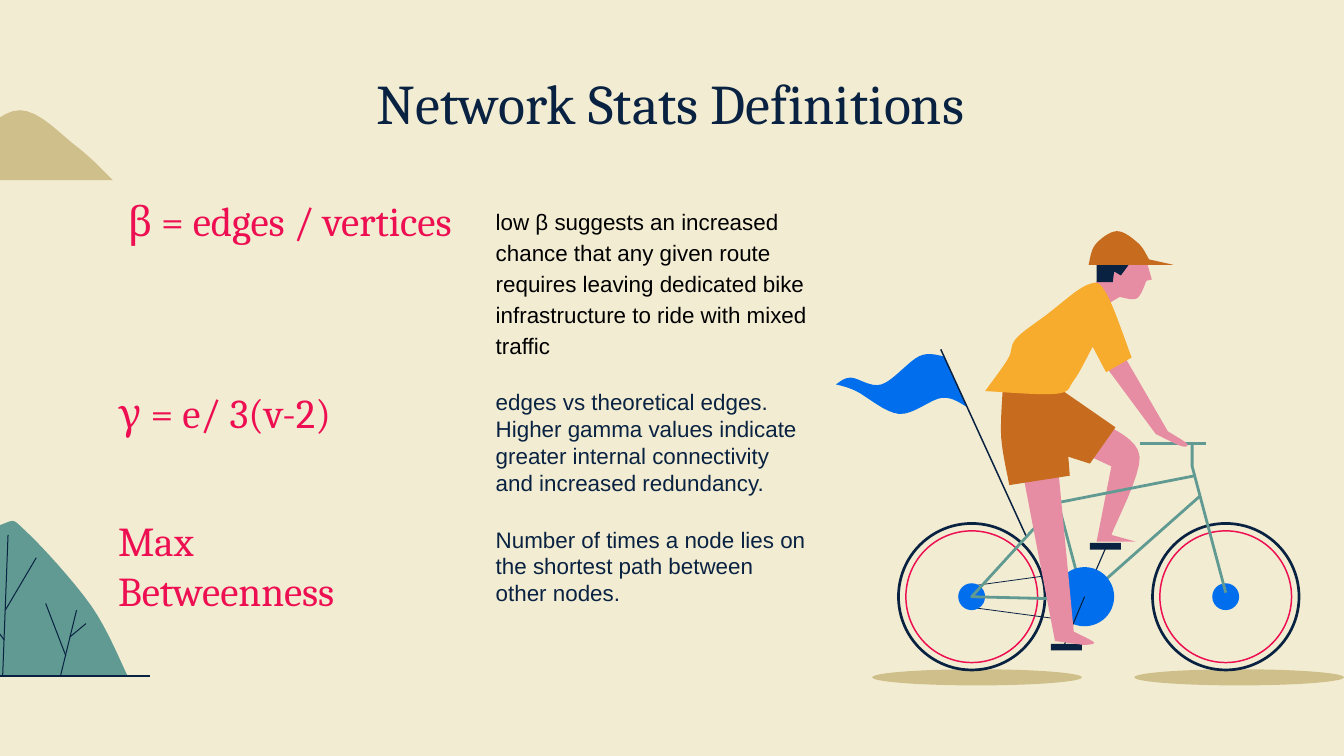
from dataclasses import dataclass
from functools import singledispatch
from typing import Optional

from lxml import etree
from pptx import Presentation
from pptx import util as u
from pptx.dml import color
from pptx.enum import shapes, text
from pptx.oxml import ns


@dataclass(frozen=True)
class Theme:
    paper: str = "F2ECD2"
    sand: str = "CFBF8B"
    teal: str = "609A92"
    navy: str = "092242"
    red: str = "ED0F51"
    blue: str = "006EED"
    skin: str = "E68CA3"
    rust: str = "C76C1F"
    yellow: str = "F7AC2D"
    black: str = "000000"
    serif: str = "Cambria"
    sans: str = "Arial"
    title_size: float = 30
    term_size: float = 22
    body_size: float = 12


THEME = Theme()
GRID = 0.72
CURVE_STEPS = 8


@dataclass(frozen=True)
class Outline:
    runs: tuple
    fill: Optional[str] = None
    line: Optional[str] = None
    width: float = 0


@dataclass(frozen=True)
class Preset:
    kind: shapes.MSO_SHAPE
    box: tuple
    fill: Optional[str] = None
    line: Optional[str] = None
    width: float = 0


@dataclass(frozen=True)
class Stroke:
    begin: tuple
    end: tuple
    color: str
    width: float


@dataclass(frozen=True)
class Passage:
    words: str
    size: float
    font: str
    color: str
    align: text.PP_ALIGN = text.PP_ALIGN.LEFT
    spacing: float = 1
    before: float = 0


@dataclass(frozen=True)
class Box:
    left: float
    top: float
    width: float
    height: float
    passages: tuple


def rgb(value: str) -> color.RGBColor:
    return color.RGBColor.from_string(value)


def grid(value: float) -> u.Length:
    return u.Pt(value * GRID)


def disc(x: float, y: float, radius_x: float, radius_y: float, **style) -> Preset:
    return Preset(shapes.MSO_SHAPE.OVAL, (x - radius_x, y - radius_y, 2 * radius_x, 2 * radius_y), **style)


def pedal(x: float, y: float) -> Preset:
    return Preset(shapes.MSO_SHAPE.RECTANGLE, (x, y, 23, 5), fill=THEME.navy)


def wheel(x: float) -> tuple:
    return (disc(x, 444, 54.5, 54.5, line=THEME.navy, width=1.44),
            disc(x, 444, 49, 49, line=THEME.red, width=0.78))


def hub(x: float) -> Preset:
    return disc(x, 444, 10, 10, fill=THEME.blue)


def smooth(run: tuple) -> list:
    knots = (run[0], *run, run[-1])
    points = [run[0]]
    for a, b, c, d in zip(knots, knots[1:], knots[2:], knots[3:]):
        for step in range(1, CURVE_STEPS + 1):
            t = step / CURVE_STEPS
            points.append(tuple(
                q + t / 2 * (r - p + t * (2 * p - 5 * q + 4 * r - s + t * (3 * (q - r) + s - p)))
                for p, q, r, s in zip(a, b, c, d)))
    return points


def trace(outline: Outline) -> list:
    points = []
    for run in outline.runs:
        points += smooth(run) if isinstance(run[0], tuple) else [run]
    return [(100 * GRID * x, 100 * GRID * y) for x, y in points]


def paint(shape, item) -> None:
    shape.shadow.inherit = False
    if item.fill:
        shape.fill.solid()
        shape.fill.fore_color.rgb = rgb(item.fill)
    else:
        shape.fill.background()
    if item.line:
        shape.line.color.rgb = rgb(item.line)
        shape.line.width = u.Pt(item.width)
    else:
        shape.line.fill.background()


@singledispatch
def draw(item, slide) -> None:
    raise TypeError(item)


@draw.register
def draw_outline(item: Outline, slide) -> None:
    points = trace(item)
    builder = slide.shapes.build_freeform(*points[0], scale=u.Pt(0.01))
    builder.add_line_segments(points[1:], close=item.fill is not None)
    paint(builder.convert_to_shape(), item)


@draw.register
def draw_preset(item: Preset, slide) -> None:
    paint(slide.shapes.add_shape(item.kind, *map(grid, item.box)), item)


@draw.register
def draw_stroke(item: Stroke, slide) -> None:
    connector = slide.shapes.add_connector(shapes.MSO_CONNECTOR.STRAIGHT, *map(grid, item.begin + item.end))
    connector.line.color.rgb = rgb(item.color)
    connector.line.width = u.Pt(item.width)
    etree.SubElement(connector._element.spPr, ns.qn("a:effectLst"))


def write(frame, passages: tuple, anchor: text.MSO_ANCHOR) -> None:
    frame.word_wrap = True
    frame.auto_size = text.MSO_AUTO_SIZE.NONE
    frame.vertical_anchor = anchor
    frame.margin_left = frame.margin_right = frame.margin_top = frame.margin_bottom = u.Pt(7.2)
    for index, passage in enumerate(passages):
        paragraph = frame.add_paragraph() if index else frame.paragraphs[0]
        paragraph.text = passage.words
        paragraph.alignment = passage.align
        paragraph.line_spacing = passage.spacing
        paragraph.space_before = u.Pt(passage.before)
        paragraph.font.size = u.Pt(passage.size)
        paragraph.font.name = passage.font
        paragraph.font.color.rgb = rgb(passage.color)


@draw.register
def draw_box(item: Box, slide) -> None:
    shape = slide.shapes.add_textbox(*map(u.Pt, (item.left, item.top, item.width, item.height)))
    write(shape.text_frame, item.passages, text.MSO_ANCHOR.MIDDLE)


def term(words: str, align: text.PP_ALIGN = text.PP_ALIGN.LEFT) -> tuple:
    return (Passage(words, THEME.term_size, THEME.serif, THEME.red, align),)


def definition(words: str, ink: str = THEME.navy, **layout) -> Passage:
    return Passage(words, THEME.body_size, THEME.sans, ink, **layout)


TWIGS = (((6, 398), (2, 503)), ((27, 415), (4, 454)), ((-38, 421), (3, 476)), ((57, 454), (45, 503)),
         ((64, 464), (52, 474)), ((34, 449), (49, 488)), ((-110, 503), (112, 503)))

SCENERY = (
    Outline((((-83, 134), (-29, 108), (15, 82), (57, 109), (84, 134)),), THEME.sand),
    Outline((((-90, 503), (-38, 418), (2, 390), (20, 396), (68, 451), (95, 503)),), THEME.teal),
    *(Stroke(*twig, THEME.navy, 0.54) for twig in TWIGS),
)

DEFINITIONS = (
    Box(258.5, 81.4, 181.4, 271.4, (
        definition("low β suggests an increased chance that any given route requires leaving dedicated bike infrastructure to ride with mixed traffic", THEME.black, spacing=1.15),
        definition("edges vs theoretical edges. Higher gamma values indicate greater internal connectivity and increased redundancy.", before=16),
        definition("Number of times a node lies on the shortest path between other nodes.", before=16))),
    Box(24.5, 104.4, 224.6, 26.6, term("β = edges / vertices", text.PP_ALIGN.RIGHT)),
    Box(56.2, 202.3, 136, 37.4, term("γ = e/ 3(v-2)")),
    Box(56.2, 277.2, 145.4, 51.1, term("Max Betweenness")),
)

CYCLIST = (
    *(disc(x, 504, 78, 6, fill=THEME.sand) for x in (922, 727)),
    *wheel(723),
    Outline((((622, 286), (633, 281), (656, 286), (684, 265), (702, 265)),
             ((720, 303), (701, 296), (669, 308), (637, 291), (622, 286))), THEME.blue),
    Stroke((764, 400), (700, 260), THEME.navy, 0.78),
    Outline(((803, 425), (723, 436), (723, 452), (805, 463)), line=THEME.navy, width=0.42),
    Stroke((823, 407), (807, 444), THEME.navy, 0.6),
    pedal(811, 404),
    Outline(((801, 335), (827, 347), (816, 403), (845, 403), ((827, 398), (848, 340), (822, 315))), THEME.skin),
    *wheel(912),
    hub(912),
    Stroke((805, 441), (780, 347), THEME.teal, 1.5),
    Outline(((912, 441), (887, 347), (887, 330)), line=THEME.teal, width=1.5),
    hub(723),
    Stroke((848, 330), (897, 330), THEME.teal, 1.5),
    Outline(((893, 369), (806, 446), (723, 444), (787, 374), (889, 354)), line=THEME.teal, width=1.5),
    pedal(782, 479),
    disc(807, 444, 22, 22, fill=THEME.blue),
    Stroke((807, 444), (791, 482), THEME.navy, 0.6),
    Outline(((787, 345), (761, 352), (785, 477), ((807, 480), (814, 478), (799, 470))), THEME.skin),
    Outline(((791, 291), (764, 330), (811, 345), (830, 318)), THEME.rust),
    Outline(((836, 264), (823, 273), ((860, 323), (879, 332), (883, 330), (869, 321))), THEME.skin),
    Outline(((831, 194), (808, 218), (823, 227), ((833, 221), (846, 222), (853, 209)), (857, 208), (853, 194)), THEME.skin),
    Outline(((816, 190), (816, 210), (828, 210), (829, 202), (834, 205), (845, 190)), THEME.navy),
    Outline((((746, 291), (745, 326), (751, 361)), (796, 354), (791, 291)), THEME.rust),
    Outline((((733, 291), (750, 267), (756, 252), (779, 234), (809, 212), (823, 218), (842, 266)), (823, 277),
             ((813, 258), (799, 283), (786, 293), (733, 291))), THEME.yellow),
    Outline((((810, 197), (815, 182), (831, 172), (847, 181), (855, 193)), (873, 197)), THEME.rust),
)


def main() -> None:
    presentation = Presentation()
    presentation.slide_width, presentation.slide_height = u.Pt(720), u.Pt(405)
    slide = presentation.slides.add_slide(presentation.slide_layouts[5])
    slide.background.fill.solid()
    slide.background.fill.fore_color.rgb = rgb(THEME.paper)
    title = slide.shapes.title
    title.left, title.top, title.width, title.height = map(u.Pt, (56.2, 29.5, 606.2, 37.4))
    heading = Passage("Network Stats Definitions", THEME.title_size, THEME.serif, THEME.navy, text.PP_ALIGN.CENTER)
    write(title.text_frame, (heading,), text.MSO_ANCHOR.TOP)
    for item in SCENERY + DEFINITIONS + CYCLIST:
        draw(item, slide)
    presentation.save("out.pptx")


if __name__ == "__main__":
    main()
